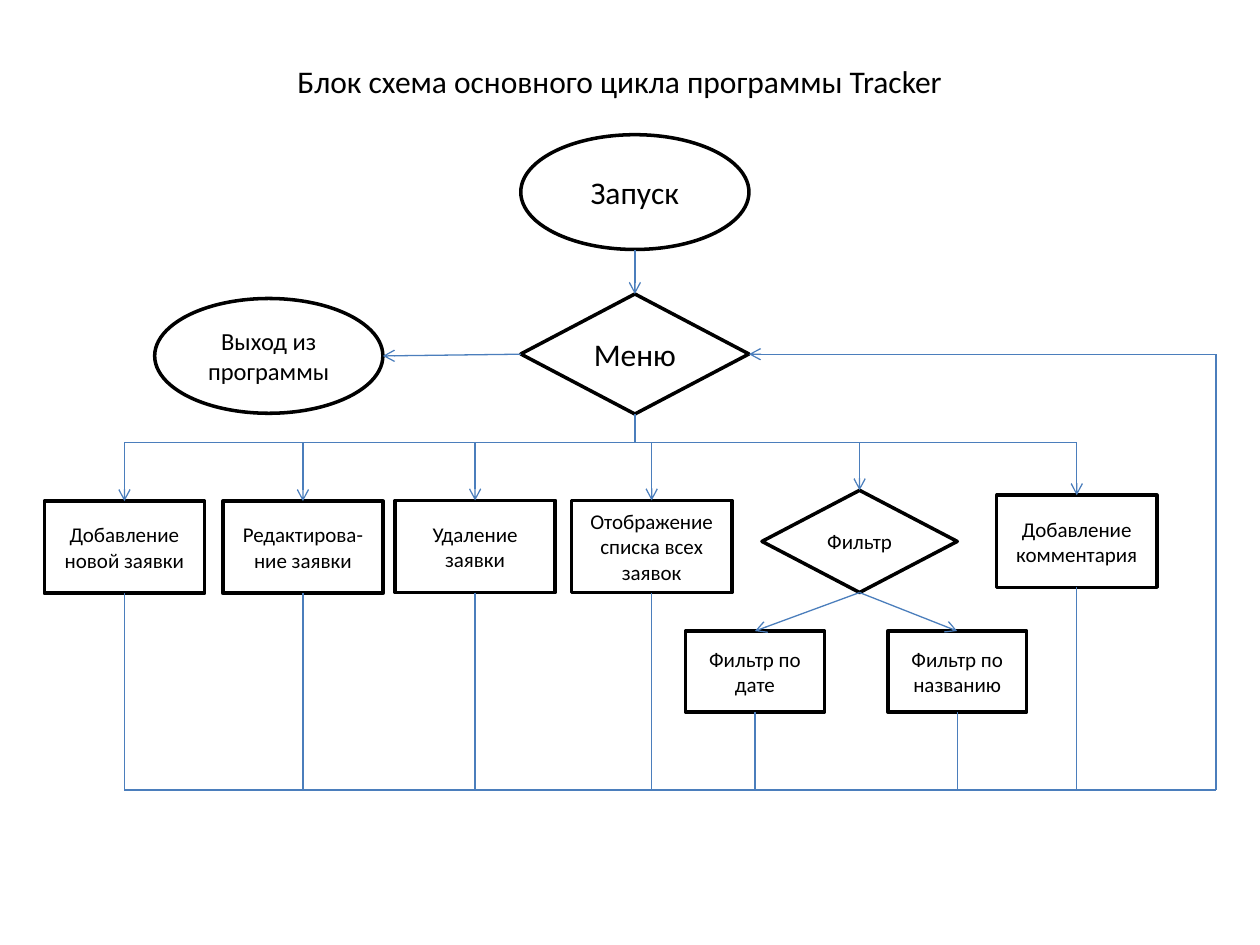
"""Build a flowchart slide of the main loop of the Tracker program."""
from lxml import etree
from pptx import Presentation
from pptx.dml.color import RGBColor
from pptx.enum import shapes, text
from pptx.oxml import ns
from pptx.util import Pt

OVAL = shapes.MSO_SHAPE.OVAL
DECISION = shapes.MSO_SHAPE.FLOWCHART_DECISION
PROCESS = shapes.MSO_SHAPE.FLOWCHART_PROCESS

deck = Presentation()
deck.slide_width, deck.slide_height = Pt(720), Pt(540)
page = deck.slides.add_slide(deck.slide_layouts[6])


def write(box, wording, size):
    frame = box.text_frame
    frame.word_wrap = True
    frame.vertical_anchor = text.MSO_ANCHOR.MIDDLE
    para = frame.paragraphs[0]
    para.text = wording
    para.alignment = text.PP_ALIGN.CENTER
    para.font.name, para.font.size = "Calibri", Pt(size)
    para.font.color.rgb = RGBColor.from_string("000000")


def connect(x1, y1, x2, y2, arrow=False):
    line = page.shapes.add_connector(
        shapes.MSO_CONNECTOR.STRAIGHT, Pt(x1), Pt(y1), Pt(x2), Pt(y2))
    line.line.color.rgb = RGBColor.from_string("4B7EBC")
    line.line.width = Pt(0.75)
    if arrow:
        etree.SubElement(line.line._get_or_add_ln(), ns.qn("a:tailEnd"), type="arrow")
    etree.SubElement(line._element.spPr, ns.qn("a:effectLst"))


title = page.shapes.add_textbox(Pt(48.2), Pt(20.9), Pt(612), Pt(51.1))
write(title, "Блок схема основного цикла программы Tracker", 18)

menu_x, menu_y, menu_top, menu_bottom = 362.8, 202.4, 168, 236.6
start_top, oval_width, oval_height = 77, 130.4, 65.6
exit_x, exit_top = 153.6, 170.6
bus_y, return_y, return_x = 252.7, 451.4, 694.8
filter_x, filter_bottom = 491.2, 338.6

main_nodes = [
    (OVAL, "Запуск", menu_x, start_top, oval_width, oval_height, 18),
    (DECISION, "Меню", menu_x, menu_top, oval_width, menu_bottom - menu_top, 18),
    (OVAL, "Выход из программы", exit_x, exit_top, oval_width, oval_height, 14),
    (DECISION, "Фильтр", filter_x, 280.2, 111.6, filter_bottom - 280.2, 12),
]
actions = [
    (PROCESS, wording, x, top, 91.6, 52.6, 12)
    for wording, x, top in [
        ("Добавление новой заявки", 71.1, 286.4),
        ("Редактирова-ние заявки", 173.1, 286.4),
        ("Удаление заявки", 271.5, 286),
        ("Отображение списка всех заявок", 372.4, 286),
        ("Добавление комментария", 615.3, 283),
    ]
]
filters = [
    (PROCESS, wording, x, 360.6, 79.4, 46.2, 12)
    for wording, x in [("Фильтр по дате", 431.4), ("Фильтр по названию", 547)]
]

for kind, wording, x, top, width, height, size in main_nodes + actions + filters:
    node = page.shapes.add_shape(kind, Pt(x - width / 2), Pt(top), Pt(width), Pt(height))
    node.shadow.inherit = False
    node.fill.solid()
    node.fill.fore_color.rgb = RGBColor.from_string("FFFFFF")
    node.line.color.rgb = RGBColor.from_string("000000")
    node.line.width = Pt(2)
    write(node, wording, size)

half = oval_width / 2
connect(menu_x, start_top + oval_height, menu_x, menu_top, True)
connect(menu_x - half, menu_y, exit_x + half, exit_top + oval_height / 2, True)
connect(menu_x, menu_bottom, menu_x, bus_y)
for end_x in (actions[0][2], actions[-1][2]):
    connect(menu_x, bus_y, end_x, bus_y)

for kind, wording, x, top, *rest in actions + main_nodes[-1:]:
    connect(x, bus_y, x, top, True)
for kind, wording, x, top, *rest in filters:
    connect(filter_x, filter_bottom, x, top, True)
for kind, wording, x, top, width, height, size in actions + filters:
    connect(x, top + height, x, return_y)

connect(actions[0][2], return_y, return_x, return_y)
connect(return_x, return_y, return_x, menu_y)
connect(return_x, menu_y, menu_x + half, menu_y, True)

deck.save("out.pptx")
